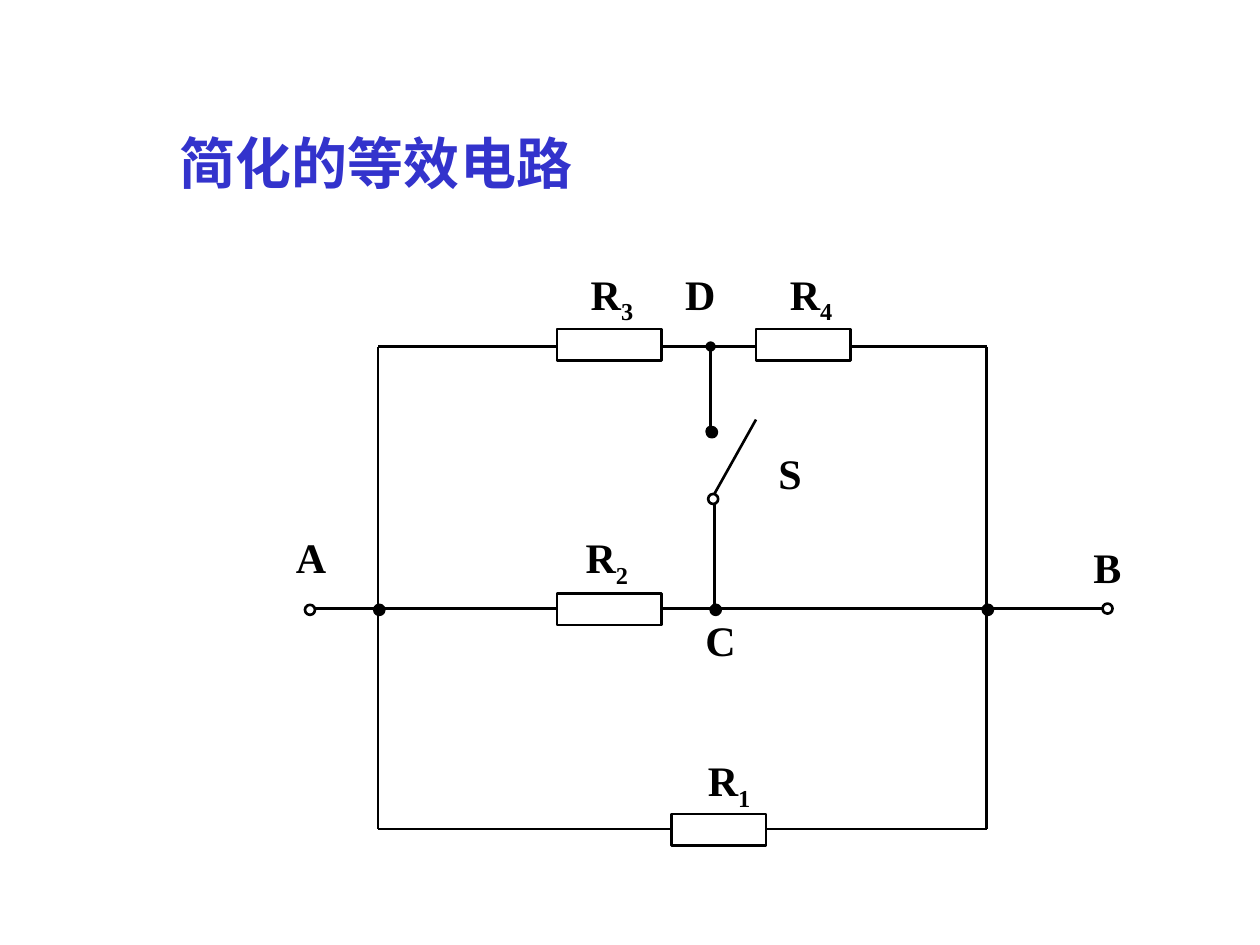
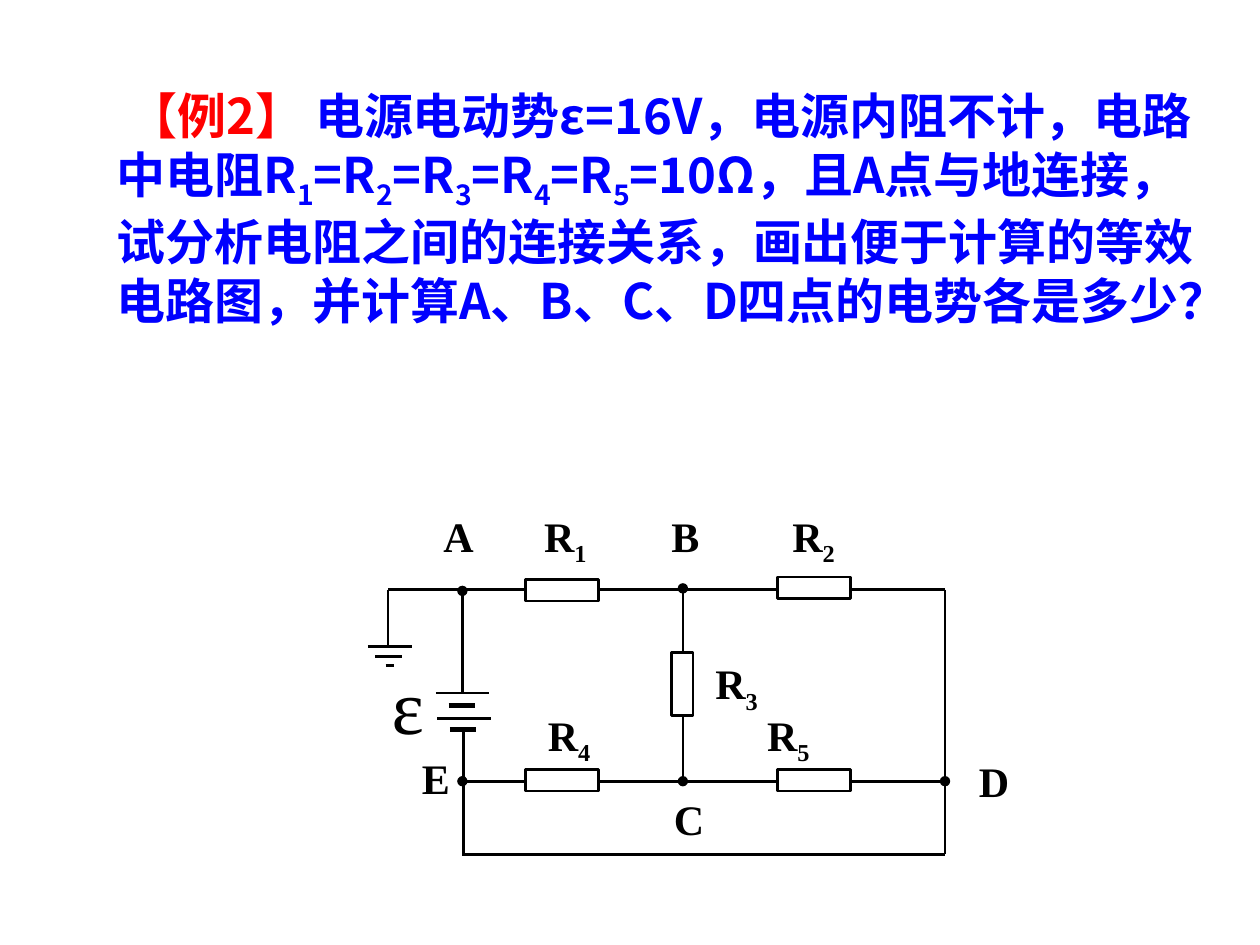
from lxml import etree
from pptx import Presentation
from pptx.dml.color import RGBColor
from pptx.enum import shapes, text
from pptx.oxml import ns
from pptx.util import Inches, Pt

COLORS = {"ink": "000000", "title": "3333CC", "problem": "0000FF", "accent": "FF0000"}
SERIF = "Times New Roman"
SANS = "Noto Sans CJK SC"
LINE = 1.5
DOT = 0.08


def rgb(name):
    return RGBColor.from_string(COLORS[name])


def add_run(paragraph, content, size, font, color, bold, subscript=False):
    run = paragraph.add_run()
    run.text = content
    run.font.size = Pt(size)
    run.font.name = font
    run.font.bold = bold
    run.font.color.rgb = rgb(color)
    properties = run.font._element
    etree.SubElement(properties, ns.qn("a:ea")).set("typeface", SANS)
    if subscript:
        properties.set("baseline", "-25000")


def add_text(slide, content, left, top, width=0.7, height=0.5, size=24, font=SERIF,
             color="ink", bold=True, lead="", lead_color="accent", indent=0):
    box = slide.shapes.add_textbox(Inches(left), Inches(top), Inches(width), Inches(height))
    frame = box.text_frame
    frame.word_wrap = True
    frame.auto_size = text.MSO_AUTO_SIZE.NONE
    paragraph = frame.paragraphs[0]
    if indent:
        paragraph._p.get_or_add_pPr().set("indent", str(Inches(indent)))
    if lead:
        add_run(paragraph, lead, size, font, lead_color, bold)
    first, *rest = content.split("_")
    add_run(paragraph, first, size, font, color, bold)
    for piece in rest:
        add_run(paragraph, piece[0], size, font, color, bold, subscript=True)
        if piece[1:]:
            add_run(paragraph, piece[1:], size, font, color, bold)


def add_labels(slide, labels):
    for content, left, top in labels:
        add_text(slide, content, left, top)


def add_wire(slide, x1, y1, x2, y2, width=LINE, head=False, tail=False):
    wire = slide.shapes.add_connector(
        shapes.MSO_CONNECTOR.STRAIGHT, Inches(x1), Inches(y1), Inches(x2), Inches(y2))
    wire.line.color.rgb = rgb("ink")
    wire.line.width = Pt(width)
    line = wire.line._get_or_add_ln()
    for tag, wanted in (("a:headEnd", head), ("a:tailEnd", tail)):
        if wanted:
            etree.SubElement(line, ns.qn(tag)).set("type", "oval")
    etree.SubElement(wire._element.spPr, ns.qn("a:effectLst"))


def add_wires(slide, wires):
    for ends in wires:
        add_wire(slide, *ends)


def add_outline(slide, kind, left, top, width, height, filled=False):
    shape = slide.shapes.add_shape(
        kind, Inches(left), Inches(top), Inches(width), Inches(height))
    shape.shadow.inherit = False
    if filled:
        shape.fill.solid()
        shape.fill.fore_color.rgb = rgb("ink")
    else:
        shape.fill.background()
    shape.line.color.rgb = rgb("ink")
    shape.line.width = Pt(LINE)


def add_resistors(slide, resistors):
    for bounds in resistors:
        add_outline(slide, shapes.MSO_SHAPE.RECTANGLE, *bounds)


def add_dots(slide, dots, filled):
    for left, top in dots:
        add_outline(slide, shapes.MSO_SHAPE.OVAL, left, top, DOT, DOT, filled)


def build_simplified_circuit(slide):
    add_text(slide, "简化的等效电路", 1.33, 0.97, 3.83, 0.64, size=32, color="title")
    left, right, top, middle, bottom = 3, 7.83, 2.75, 4.83, 6.58
    add_wires(slide, [
        (left, top, 4.42, top), (5.25, top, 6, top), (6.75, top, right, top),
        (2.5, middle, 4.42, middle), (5.25, middle, 8.75, middle),
        (left, bottom, 5.33, bottom), (6.08, bottom, right, bottom),
        (left, top, left, bottom), (right, top, right, bottom),
        (5.67, 4, 5.67, middle), (5.67, 3.92, 6, 3.33),
    ])
    add_wire(slide, 5.64, top, 5.64, 3.42, head=True, tail=True)
    add_resistors(slide, [
        (4.42, 2.61, 0.83, 0.25), (6, 2.61, 0.75, 0.25),
        (4.42, 4.71, 0.83, 0.25), (5.33, 6.46, 0.75, 0.25),
    ])
    add_dots(slide, [(2.97, 4.8), (5.61, 3.39), (5.64, 4.8), (7.8, 4.8)], filled=True)
    add_dots(slide, [(5.62, 3.92), (2.42, 4.8), (8.75, 4.79)], filled=False)
    add_labels(slide, [
        ("R_3", 4.59, 2.08), ("D", 5.34, 2.08), ("R_4", 6.17, 2.08),
        ("A", 2.25, 4.17), ("R_2", 4.55, 4.17), ("B", 8.58, 4.25),
        ("C", 5.5, 4.83), ("R_1", 5.52, 5.94), ("S", 6.08, 3.5),
    ])


def build_example(slide):
    add_text(
        slide,
        "电源电动势ε=16V，电源内阻不计，电路中电阻R_1=R_2=R_3=R_4=R_5=10Ω，"
        "且A点与地连接，试分析电阻之间的连接关系，画出便于计算的等效电路图，"
        "并计算A、B、C、D四点的电势各是多少？",
        0.83, 0.63, 8.85, 2.5, size=28, font=SANS, color="problem",
        lead="【例2】 ", indent=0.09)
    ground, source, center, right = 3.08, 3.67, 5.42, 7.5
    top, middle, bottom = 4.68, 6.2, 6.78
    add_wires(slide, [
        (ground, top, 4.17, top), (4.75, top, 6.17, top), (6.75, top, right, top),
        (4.75, middle, 6.17, middle), (source, bottom, right, bottom),
        (right, top, right, bottom), (3.68, 5.79, 3.68, bottom),
        (ground, top, ground, 5.13),
        (2.92, 5.13, 3.27, 5.13), (2.98, 5.21, 3.19, 5.21), (3.06, 5.28, 3.13, 5.28),
        (3.46, 5.5, 3.88, 5.5), (3.56, 5.6, 3.77, 5.6, 3),
        (3.47, 5.7, 3.9, 5.7), (3.57, 5.79, 3.78, 5.79, 3),
    ])
    for ends in [
        (center, 5.18, center, 4.67), (source, 5.5, source, 4.69),
        (center, 5.68, center, middle), (6.75, middle, right, middle),
        (4.17, middle, source, middle),
    ]:
        add_wire(slide, *ends, tail=True)
    add_resistors(slide, [
        (4.17, 4.6, 0.58, 0.17), (6.17, 4.58, 0.58, 0.17), (5.33, 5.18, 0.17, 0.5),
        (4.17, 6.11, 0.58, 0.17), (6.17, 6.11, 0.58, 0.17),
    ])
    add_labels(slide, [
        ("A", 3.42, 4), ("R_1", 4.22, 4), ("B", 5.23, 4), ("R_2", 6.19, 4),
        ("R_3", 5.58, 5.17), ("R_4", 4.25, 5.58), ("R_5", 5.99, 5.58),
        ("D", 7.67, 5.95), ("C", 5.25, 6.25), ("E", 3.25, 5.92),
    ])
    add_text(slide, "ε", 3.01, 5.17, 0.5, 0.84, size=44, bold=False)


def main():
    presentation = Presentation()
    presentation.slide_width = Inches(10)
    presentation.slide_height = Inches(7.5)
    blank = presentation.slide_layouts[6]
    for build in (build_simplified_circuit, build_example):
        build(presentation.slides.add_slide(blank))
    presentation.save("out.pptx")


if __name__ == "__main__":
    main()
